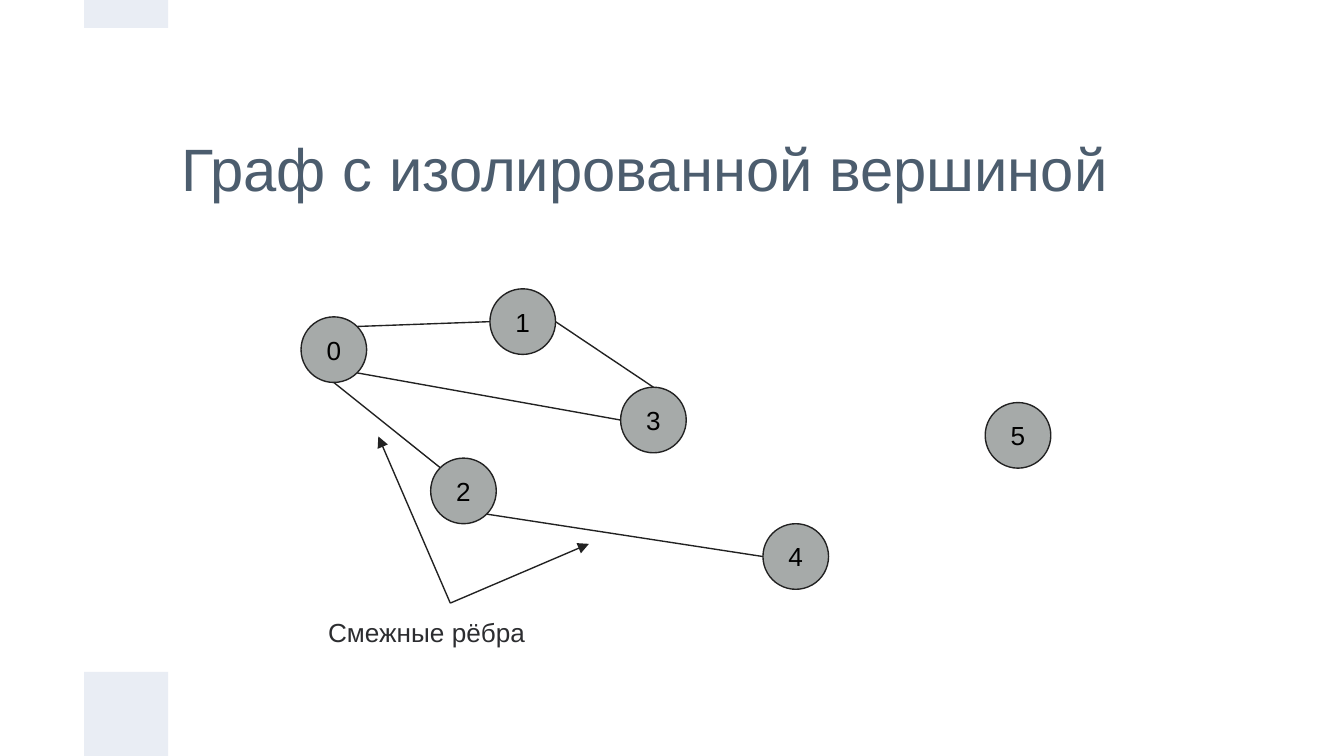
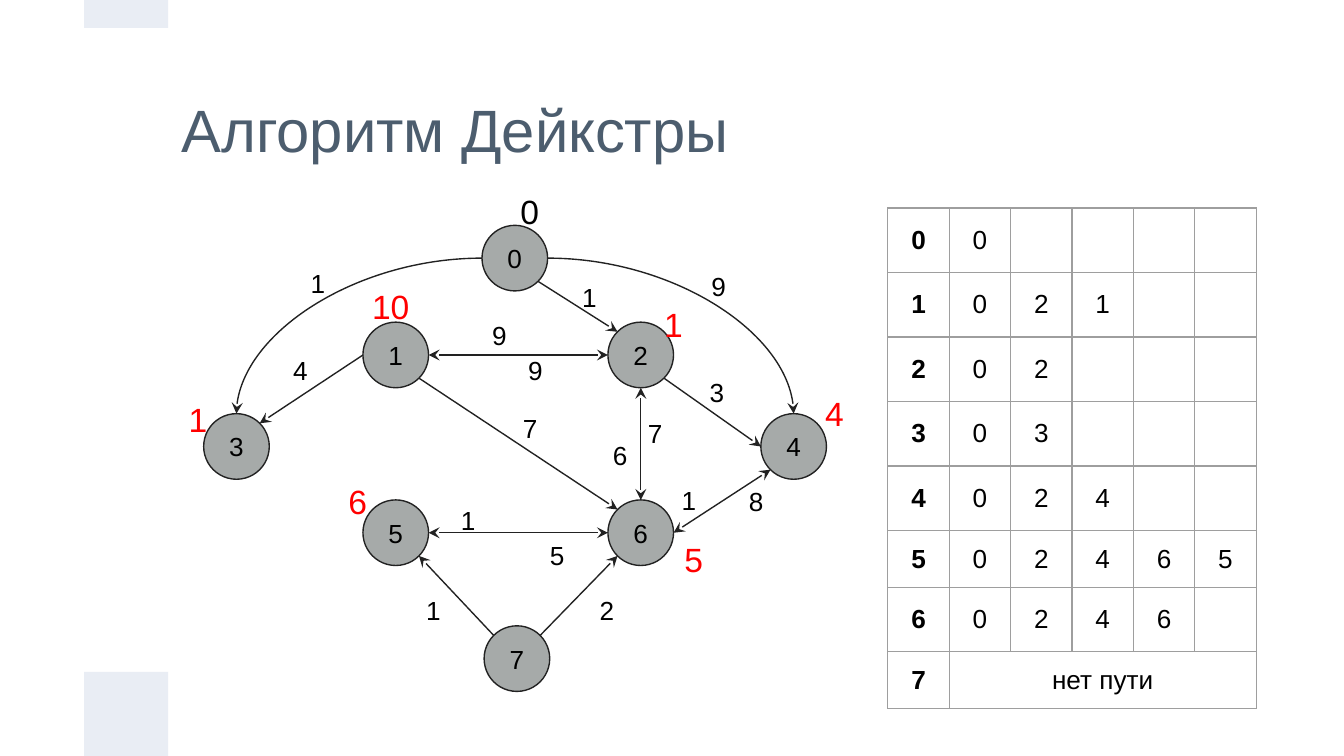
import math

import pptx
import pptx.dml.color
import pptx.enum.shapes
import pptx.enum.text
import pptx.oxml
import pptx.oxml.ns
import pptx.util
from lxml import etree

Cm = pptx.util.Cm
Pt = pptx.util.Pt
qn = pptx.oxml.ns.qn
ALIGN = pptx.enum.text.PP_ALIGN
ANCHOR = pptx.enum.text.MSO_ANCHOR
PRESET = pptx.enum.shapes.MSO_SHAPE
CONNECTOR = pptx.enum.shapes.MSO_CONNECTOR

COLORS = {
    "band": "E9EDF4",
    "title": "4C5D6E",
    "node": "A6AAA9",
    "line": "222222",
    "text": "000000",
    "note": "2C2D30",
    "distance": "FF0000",
    "grid": "9E9E9E",
}
FONT = "Arial"
INSET = Cm(0.25)
LINE_WIDTH = Pt(0.75)
NODE_SIZE = 1.24
TITLE_ONLY = 5

# Connection sites of an ellipse, counted counter-clockwise from the top
TOP, TOP_LEFT, LEFT, BOTTOM_LEFT, BOTTOM, BOTTOM_RIGHT, RIGHT, TOP_RIGHT = range(8)

ISOLATED_NODES = [(6.31, 6.61), (9.88, 6.08), (8.76, 9.28),
                  (12.35, 7.94), (15.04, 10.52), (19.24, 8.23)]
ISOLATED_EDGES = [
    (0, TOP_RIGHT, 1, LEFT),
    (0, BOTTOM, 2, TOP_LEFT),
    (0, BOTTOM_RIGHT, 3, LEFT),
    (1, RIGHT, 3, TOP),
    (2, BOTTOM_RIGHT, 4, LEFT),
]

DIJKSTRA_NODES = [(9.73, 4.88), (7.48, 6.71), (12.11, 6.71), (4.47, 8.44),
                  (15, 8.44), (7.48, 10.07), (12.11, 10.07), (9.77, 12.45)]
ONE_WAY_EDGES = [
    (0, BOTTOM_RIGHT, 2, TOP_LEFT),
    (2, BOTTOM_RIGHT, 4, LEFT),
    (1, LEFT, 3, TOP_RIGHT),
    (1, BOTTOM_RIGHT, 6, TOP_LEFT),
    (7, TOP_LEFT, 5, BOTTOM_RIGHT),
    (7, TOP_RIGHT, 6, BOTTOM_LEFT),
]
CURVED_EDGES = [(0, RIGHT, 4, TOP), (0, LEFT, 3, TOP)]
TWO_WAY_EDGES = [
    (1, RIGHT, 2, LEFT),
    (2, BOTTOM, 6, TOP),
    (4, BOTTOM_LEFT, 6, RIGHT),
    (6, LEFT, 5, RIGHT),
]
WEIGHTS = [
    ("1", 5.54, 4.8), ("2", 11, 10.97), ("9", 9.65, 6.43), ("9", 8.97, 5.77),
    ("3", 13.08, 6.86), ("9", 13.11, 4.85), ("1", 10.67, 5.05), ("4", 5.21, 6.43),
    ("8", 13.82, 8.92), ("1", 12.55, 8.89), ("7", 11.91, 7.62), ("6", 11.25, 8.05),
    ("7", 9.55, 7.54), ("1", 7.72, 10.97), ("5", 10.06, 9.93), ("1", 8.38, 9.27),
]
DISTANCES = [
    ("0", 9.45, 3.51, 1.12, "text"),
    ("1", 3.18, 7.44, 1.12, "distance"),
    ("1", 12.17, 5.64, 1.12, "distance"),
    ("4", 15.21, 7.32, 1.12, "distance"),
    ("10", 6.65, 5.31, 1.47, "distance"),
    ("5", 12.55, 10.08, 1.12, "distance"),
    ("6", 6.2, 8.99, 1.12, "distance"),
]
PATHS = ["0", "021", "02", "03", "024", "02465", "0246"]
NO_PATH = "нет пути"
COLUMN_COUNT, COLUMN_WIDTH = 6, 1.16
FULL_ROW, PARTIAL_ROW = 1.07, 1.22


def rgb(color):
    return pptx.dml.color.RGBColor.from_string(COLORS[color])


def write(frame, text, size, color="text", align=ALIGN.CENTER, bold=False):
    paragraph = frame.paragraphs[0]
    paragraph.alignment = align
    run = paragraph.add_run()
    run.text = text
    run.font.name = FONT
    run.font.size = Pt(size)
    run.font.bold = bold
    run.font.color.rgb = rgb(color)


def set_frame(frame, anchor=ANCHOR.MIDDLE):
    frame.word_wrap = True
    frame.auto_size = pptx.enum.text.MSO_AUTO_SIZE.NONE
    frame.vertical_anchor = anchor
    frame.margin_left = frame.margin_right = INSET
    frame.margin_top = frame.margin_bottom = INSET


def add_preset(slide, preset, left, top, width, height, fill):
    shape = slide.shapes.add_shape(preset, Cm(left), Cm(top), Cm(width), Cm(height))
    shape.shadow.inherit = False
    shape.fill.solid()
    shape.fill.fore_color.rgb = rgb(fill)
    return shape


def move_bands_to_layout(slide):
    """Draw the two side bands and hand them to the layout of the slide."""
    for top, height in ((12.7, 1.59), (0, 0.53)):
        band = add_preset(slide, PRESET.RECTANGLE, 1.59, top, 1.59, height, "band")
        band.line.fill.background()
        slide.slide_layout.shapes._spTree.insert(2, band._element)


def add_slide(presentation, title, title_height):
    slide = presentation.slides.add_slide(presentation.slide_layouts[TITLE_ONLY])
    shape = slide.shapes.title
    shape.left, shape.top = Cm(3.18), Cm(1.58)
    shape.width, shape.height = Cm(19.05), Cm(title_height)
    set_frame(shape.text_frame)
    write(shape.text_frame, title, 32, "title", ALIGN.LEFT)
    return slide


def add_label(slide, text, left, top, width, height, size=14, color="text",
              align=ALIGN.CENTER, anchor=ANCHOR.MIDDLE):
    label = slide.shapes.add_textbox(Cm(left), Cm(top), Cm(width), Cm(height))
    set_frame(label.text_frame, anchor)
    write(label.text_frame, text, size, color, align)


def add_nodes(slide, centers):
    """Draw numbered circles and return them in order."""
    nodes = []
    for number, (x, y) in enumerate(centers):
        node = add_preset(slide, PRESET.OVAL, x - NODE_SIZE / 2, y - NODE_SIZE / 2,
                          NODE_SIZE, NODE_SIZE, "node")
        node.line.color.rgb = rgb("line")
        node.line.width = LINE_WIDTH
        set_frame(node.text_frame)
        write(node.text_frame, str(number), 14)
        nodes.append(node)
    return nodes


def add_line(slide, begin, end, head=None, tail=None, kind=CONNECTOR.STRAIGHT):
    connector = slide.shapes.add_connector(kind, *begin, *end)
    connector.line.color.rgb = rgb("line")
    connector.line.width = LINE_WIDTH
    properties = connector._element.spPr
    for tag, arrow in (("a:headEnd", head), ("a:tailEnd", tail)):
        if arrow:
            etree.SubElement(properties.find(qn("a:ln")), qn(tag), type=arrow)
    etree.SubElement(properties, qn("a:effectLst"))
    return connector


def site_point(node, site):
    angle = math.radians(90 + 45 * site)
    radius = node.width / 2
    return (round(node.left + radius * (1 + math.cos(angle))),
            round(node.top + radius * (1 - math.sin(angle))))


def add_edges(slide, nodes, edges, head=None, tail=None, curved=False):
    """Join nodes with connectors glued to their connection sites."""
    kind = CONNECTOR.CURVE if curved else CONNECTOR.STRAIGHT
    for start, start_site, finish, finish_site in edges:
        connector = add_line(slide, site_point(nodes[start], start_site),
                             site_point(nodes[finish], finish_site), head, tail, kind)
        if curved:
            connector._element.spPr.prstGeom.set("prst", "curvedConnector2")
        glue = connector._element.nvCxnSpPr.cNvCxnSpPr
        for tag, node, site in (("a:stCxn", start, start_site),
                                ("a:endCxn", finish, finish_site)):
            etree.SubElement(glue, qn(tag), id=str(nodes[node].shape_id), idx=str(site))


def format_cell(cell):
    cell.vertical_anchor = ANCHOR.MIDDLE
    cell.margin_left = cell.margin_right = INSET
    cell.margin_top = cell.margin_bottom = INSET
    cell.fill.background()
    # Size of the paragraph end, so that empty cells do not stretch their row
    etree.SubElement(cell.text_frame.paragraphs[0]._p, qn("a:endParaRPr"), sz="1400")
    properties = cell._tc.get_or_add_tcPr()
    for position, side in enumerate("LRTB"):
        border = etree.Element(qn("a:ln" + side), w=str(LINE_WIDTH))
        fill = etree.SubElement(border, qn("a:solidFill"))
        etree.SubElement(fill, qn("a:srgbClr"), val=COLORS["grid"])
        properties.insert(position, border)


def add_path_table(slide):
    """List the shortest path to each node; the last row is merged."""
    rows = [*map(list, PATHS), [NO_PATH]]
    last = len(rows) - 1
    heights = [FULL_ROW if number == last or len(row) == COLUMN_COUNT - 1
               else PARTIAL_ROW for number, row in enumerate(rows)]
    table = slide.shapes.add_table(len(rows), COLUMN_COUNT, Cm(16.78), Cm(3.93),
                                   Cm(COLUMN_WIDTH * COLUMN_COUNT),
                                   Cm(sum(heights))).table
    table.first_row = table.horz_banding = False
    for column in table.columns:
        column.width = Cm(COLUMN_WIDTH)
    for row, height in zip(table.rows, heights):
        row.height = Cm(height)
        for cell in row.cells:
            format_cell(cell)
    table.cell(last, 1).merge(table.cell(last, COLUMN_COUNT - 1))
    for number, row in enumerate(rows):
        write(table.cell(number, 0).text_frame, str(number), 14, bold=True)
        for column, text in enumerate(row, 1):
            write(table.cell(number, column).text_frame, text, 14)


def build_isolated_slide(presentation):
    slide = add_slide(presentation, "Граф с изолированной вершиной", 3.18)
    move_bands_to_layout(slide)
    nodes = add_nodes(slide, ISOLATED_NODES)
    add_edges(slide, nodes, ISOLATED_EDGES)
    add_label(slide, "Смежные рёбра", 5.95, 11.4, 5.11, 1.27, color="note",
              align=ALIGN.LEFT, anchor=ANCHOR.TOP)
    for x, y in ((7.15, 8.25), (11.13, 10.28)):
        add_line(slide, (Cm(8.51), Cm(11.4)), (Cm(x), Cm(y)), tail="triangle")


def build_dijkstra_slide(presentation):
    slide = add_slide(presentation, "Алгоритм Дейкстры", 1.7)
    nodes = add_nodes(slide, DIJKSTRA_NODES)
    add_edges(slide, nodes, ONE_WAY_EDGES, tail="stealth")
    add_edges(slide, nodes, CURVED_EDGES, tail="stealth", curved=True)
    add_edges(slide, nodes, TWO_WAY_EDGES, head="stealth", tail="stealth")
    for text, left, top in WEIGHTS:
        add_label(slide, text, left, top, 0.94, 1.12)
    for text, left, top, width, color in DISTANCES:
        add_label(slide, text, left, top, width, 0.97, 18, color)
    add_path_table(slide)


def main():
    presentation = pptx.Presentation()
    presentation.slide_width = Cm(25.4)
    presentation.slide_height = Cm(14.29)
    build_isolated_slide(presentation)
    build_dijkstra_slide(presentation)
    presentation.save("out.pptx")


if __name__ == "__main__":
    main()
